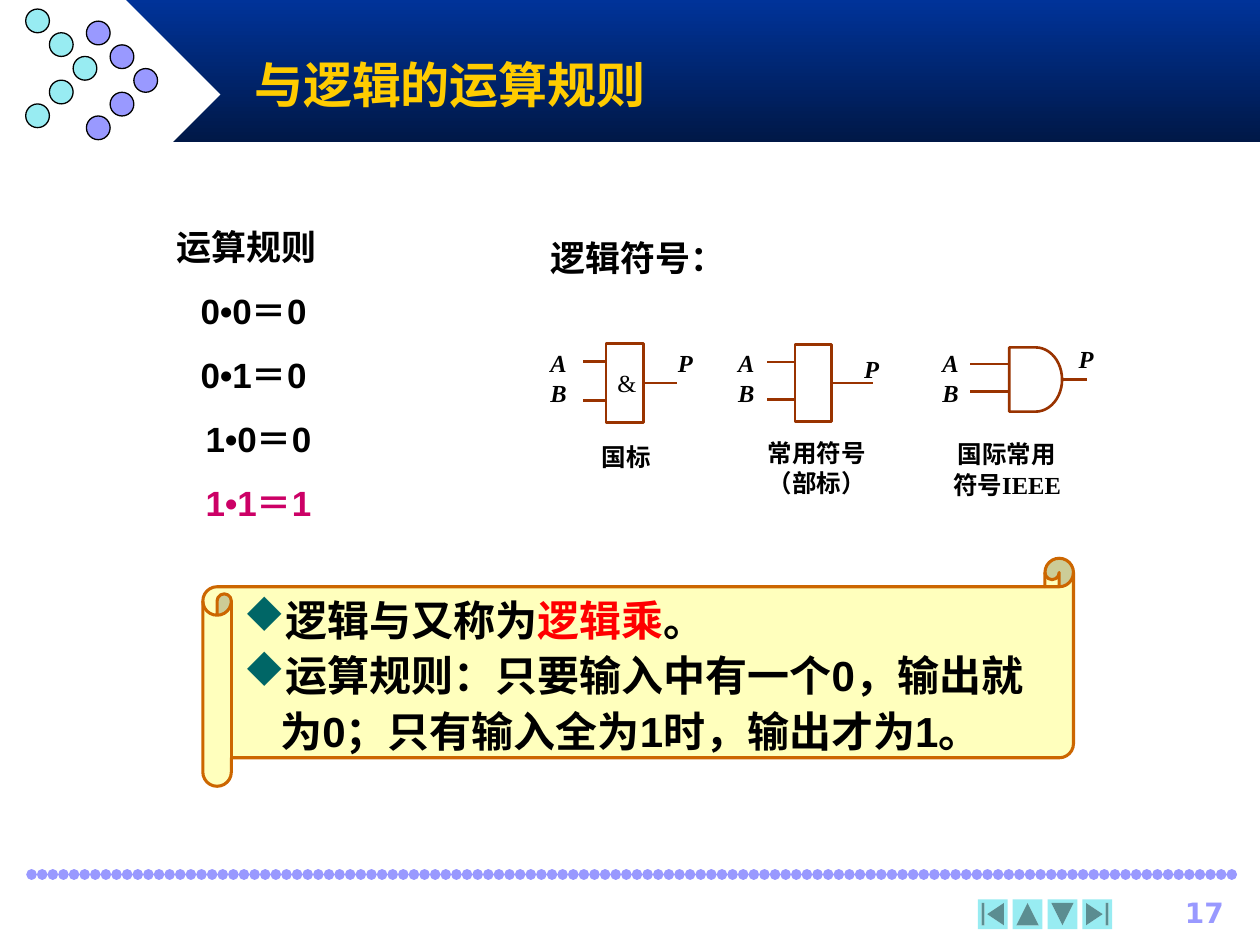
from dataclasses import dataclass

from lxml import etree
from pptx import Presentation
from pptx.dml import color
from pptx.enum import shapes, text
from pptx.oxml import ns
from pptx.util import Pt

KIND = shapes.MSO_SHAPE
ALIGN = text.PP_ALIGN
ANCHOR = text.MSO_ANCHOR


@dataclass(frozen=True)
class Theme:
    navy: str = "003399"
    night: str = "001847"
    white: str = "FFFFFF"
    black: str = "000000"
    violet: str = "9999FF"
    aqua: str = "98ECF2"
    gold: str = "FFCC00"
    magenta: str = "CC0066"
    red: str = "FF0000"
    brown: str = "993300"
    cream: str = "FFFFBD"
    orange: str = "CC6600"
    teal: str = "006666"
    title: int = 28
    note: int = 24
    body: int = 20
    number: int = 16
    label: int = 14
    sans: str = "Arial"
    serif: str = "Times New Roman"
    digits: str = "DejaVu Sans"
    bullets: str = "Wingdings"


THEME = Theme()


def rgb(value):
    return color.RGBColor.from_string(value)


def apply(target, values):
    for name, value in values.items():
        setattr(target, name, value)


def add_shape(page, kind, box, fill=None, line=None, width=1.5):
    shape = page.shapes.add_shape(kind, *map(Pt, box))
    shape.shadow.inherit = False
    if fill:
        shape.fill.solid()
        shape.fill.fore_color.rgb = rgb(fill)
    else:
        shape.fill.background()
    if line:
        shape.line.color.rgb = rgb(line)
        shape.line.width = Pt(width)
    else:
        shape.line.fill.background()
    return shape


def add_line(page, start, end, ink, width):
    line = page.shapes.add_connector(
        shapes.MSO_CONNECTOR.STRAIGHT, *map(Pt, (*start, *end)))
    line.line.color.rgb = rgb(ink)
    line.line.width = Pt(width)
    etree.SubElement(line._element.spPr, ns.qn("a:effectLst"))
    return line


def write(frame, paras, font, size, layout=None, bold=True, italic=False,
          anchor=ANCHOR.TOP):
    """Each paragraph is a list of (text, colour) spans."""
    apply(frame, {"word_wrap": True, "vertical_anchor": anchor})
    for index, spans in enumerate(paras):
        para = frame.paragraphs[0] if index == 0 else frame.add_paragraph()
        apply(para, layout or {})
        for words, ink in spans:
            span = para.add_run()
            span.text = words
            apply(span.font, {"name": font, "size": Pt(size),
                              "bold": bold, "italic": italic})
            span.font.color.rgb = rgb(ink)
    return frame.paragraphs


def add_text(page, box, paras, font, size, **options):
    frame = page.shapes.add_textbox(*map(Pt, box)).text_frame
    return write(frame, paras, font, size, **options)


def black_lines(*lines):
    return [[(line, THEME.black)] for line in lines]


def draw_header(page, box):
    left, top, width, height = box
    # Gradient band and white arrow
    band = add_shape(page, KIND.RECTANGLE, (left + 72, top, width - 72, height),
                     THEME.navy)
    band.fill.gradient()
    band.fill.gradient_angle = 270
    for stop, ink in zip(band.fill.gradient_stops, (THEME.navy, THEME.night)):
        stop.color.rgb = rgb(ink)
    add_shape(page, KIND.DIAMOND, (left + 18, top, 108, 108), THEME.white)
    # Two chevrons of dots
    size = 13.55
    for x, y, ink in ((49.4, 12.1, THEME.violet), (14.7, 5.2, THEME.aqua)):
        for row, column in enumerate((0, 1, 2, 1, 0)):
            dot = (left + x + column * size, top + y + row * size, size, size)
            add_shape(page, KIND.OVAL, dot, ink, THEME.black, 0.75)
    # Title
    add_text(page, (left + 138.2, top + 23.8, 540, 48.2),
             [[("与逻辑的运算规则", THEME.gold)]], THEME.sans, THEME.title,
             anchor=ANCHOR.MIDDLE)


def draw_rules(page, box):
    rules = black_lines("运算规则", "0•0＝0", "0•1＝0", "1•0＝0")
    rules.append([("1•1＝1", THEME.magenta)])
    paras = add_text(page, box, rules, THEME.sans, THEME.body,
                     layout={"alignment": ALIGN.CENTER, "space_before": Pt(12.5)})
    apply(paras[0], {"alignment": ALIGN.LEFT, "space_before": Pt(0)})
    for para, indent in zip(paras, (9.4, 0, 0, 5.6, 5.6)):
        para._p.get_or_add_pPr().set("marL", str(Pt(indent)))


def draw_gate(page, origin, kind, body, inputs, wire_left, output_right,
              output_label, caption_box, caption, sign=""):
    left, top = origin

    def place(x, y, *size):
        return (left + x, top + y, *size)

    # Body
    x, y, width, height = body
    gate = add_shape(page, kind, place(*body), line=THEME.brown)
    if sign:
        apply(gate.text_frame, dict.fromkeys(
            ("margin_left", "margin_right", "margin_top", "margin_bottom"), 0))
        gate.text_frame.margin_left = Pt(2.4)
        write(gate.text_frame, black_lines(sign), THEME.serif, THEME.label,
              layout={"alignment": ALIGN.CENTER}, bold=False,
              anchor=ANCHOR.MIDDLE)
    # Wires
    for wire_y in inputs:
        add_line(page, place(wire_left, wire_y), place(x, wire_y),
                 THEME.brown, 1.5)
    middle = y + height / 2
    output = add_line(page, place(x + width, middle),
                      place(output_right, middle), THEME.brown, 1.5)
    output.begin_connect(gate, 3)
    # Labels
    for label_box, names in ((place(0, 0.5, 27.4, 38.9), "AB"),
                             (place(*output_label, 27.4, 24), "P")):
        add_text(page, label_box, black_lines(*names), THEME.serif,
                 THEME.label, italic=True)
    add_text(page, place(*caption_box), black_lines(*caption), THEME.serif,
             THEME.label,
             layout={"alignment": ALIGN.CENTER, "line_spacing": 1.04})


def draw_symbols(page, box):
    left, top, width, _ = box
    add_text(page, (left, top, width, 31.7), black_lines("逻辑符号："),
             THEME.sans, THEME.body)
    gates_top = top + 63.2
    draw_gate(page, (left, gates_top), KIND.RECTANGLE, (38.9, 1.2, 21.6, 45.4),
              (11.6, 34), 26, 79.2, (72.8, 0.4), (28.3, 53.4, 44.6, 23),
              ["国标"], sign="&")
    draw_gate(page, (left + 107.3, gates_top), KIND.RECTANGLE,
              (39.6, 2, 20.9, 43.9), (11.9, 33.4), 23.8, 84.3, (72, 3.7),
              (7.9, 50.9, 88.6, 43.2), ["常用符号", "（部标）"])
    draw_gate(page, (left + 224, gates_top), KIND.FLOWCHART_DELAY,
              (45.3, 3.5, 30.2, 36.7), (13.1, 28.9), 23, 90, (77.9, -2),
              (5.9, 51.7, 76.3, 49), ["国际常用符号IEEE"])


def draw_scroll(page, box):
    scroll = add_shape(page, KIND.HORIZONTAL_SCROLL, box, THEME.cream,
                       THEME.orange, 1.75)
    notes = [[("逻辑与又称为", THEME.black), ("逻辑乘", THEME.red),
              ("。", THEME.black)]]
    notes += black_lines(
        "运算规则：只要输入中有一个0，输出就为0；只有输入全为1时，输出才为1。")
    paras = write(scroll.text_frame, notes, THEME.sans, THEME.note,
                  layout={"alignment": ALIGN.LEFT, "line_spacing": 1.1},
                  anchor=ANCHOR.MIDDLE)
    # Hanging diamond bullets: the letter u is a diamond in the symbol font
    for para in paras:
        props = para._p.get_or_add_pPr()
        for name, value in {"marL": Pt(21), "indent": Pt(-21)}.items():
            props.set(name, str(value))
        tint = etree.SubElement(props, ns.qn("a:buClr"))
        etree.SubElement(tint, ns.qn("a:srgbClr"), {"val": THEME.teal})
        etree.SubElement(props, ns.qn("a:buFont"),
                         {"typeface": THEME.bullets, "charset": "2"})
        etree.SubElement(props, ns.qn("a:buChar"), {"char": "u"})


def draw_footer(page, box):
    left, top, width, _ = box
    # Row of touching round dots
    rule = add_line(page, (left, top), (left + width, top), THEME.violet, 6)
    stroke = rule.line._get_or_add_ln()
    stroke.set("cap", "rnd")
    dash = etree.SubElement(stroke, ns.qn("a:custDash"))
    etree.SubElement(dash, ns.qn("a:ds"), {"d": "100000", "sp": "1000"})
    # Navigation buttons
    buttons = ((KIND.ACTION_BUTTON_BEGINNING, 0),
               (KIND.ACTION_BUTTON_BACK_OR_PREVIOUS, 90),
               (KIND.ACTION_BUTTON_FORWARD_OR_NEXT, 90),
               (KIND.ACTION_BUTTON_END, 0))
    for index, (kind, angle) in enumerate(buttons):
        button = add_shape(page, kind,
                           (left + 540.8 + index * 19.9, top + 14.2, 17, 17),
                           THEME.aqua)
        button.rotation = angle
    # Page number
    add_text(page, (left + 620, top + 8.6, 68.4, 23.8),
             [[("17", THEME.violet)]], THEME.digits, THEME.number,
             layout={"alignment": ALIGN.RIGHT})


def main():
    deck = Presentation()
    apply(deck, {"slide_width": Pt(720), "slide_height": Pt(540)})
    page = deck.slides.add_slide(deck.slide_layouts[6])
    draw_header(page, (0, 0, 720, 81.2))
    draw_footer(page, (18, 499.7, 690, 40))
    draw_rules(page, (84.4, 125.3, 121, 177))
    draw_symbols(page, (307.4, 131.8, 268.6, 170))
    draw_scroll(page, (115.9, 319, 497.5, 130.3))
    deck.save("out.pptx")


if __name__ == "__main__":
    main()
